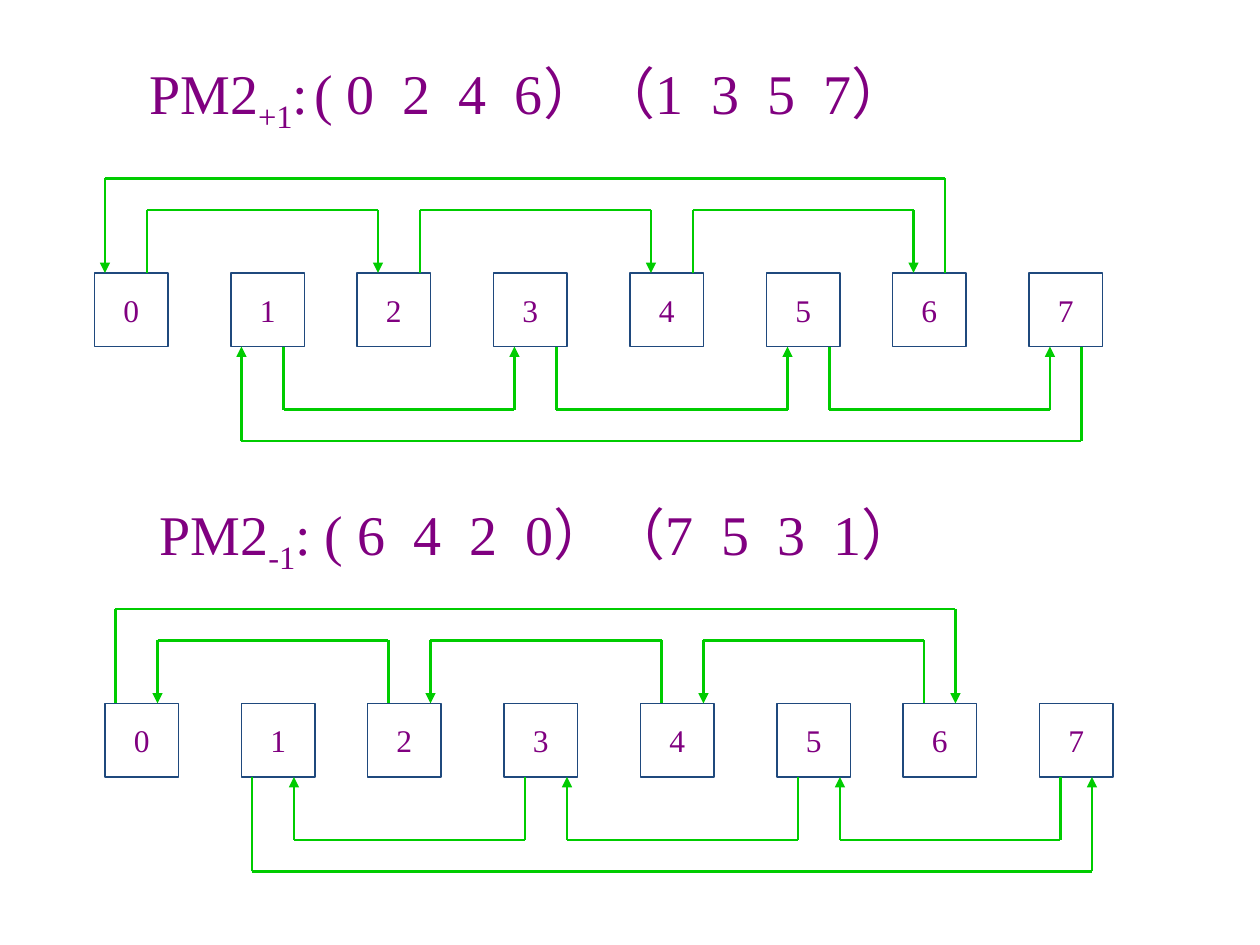
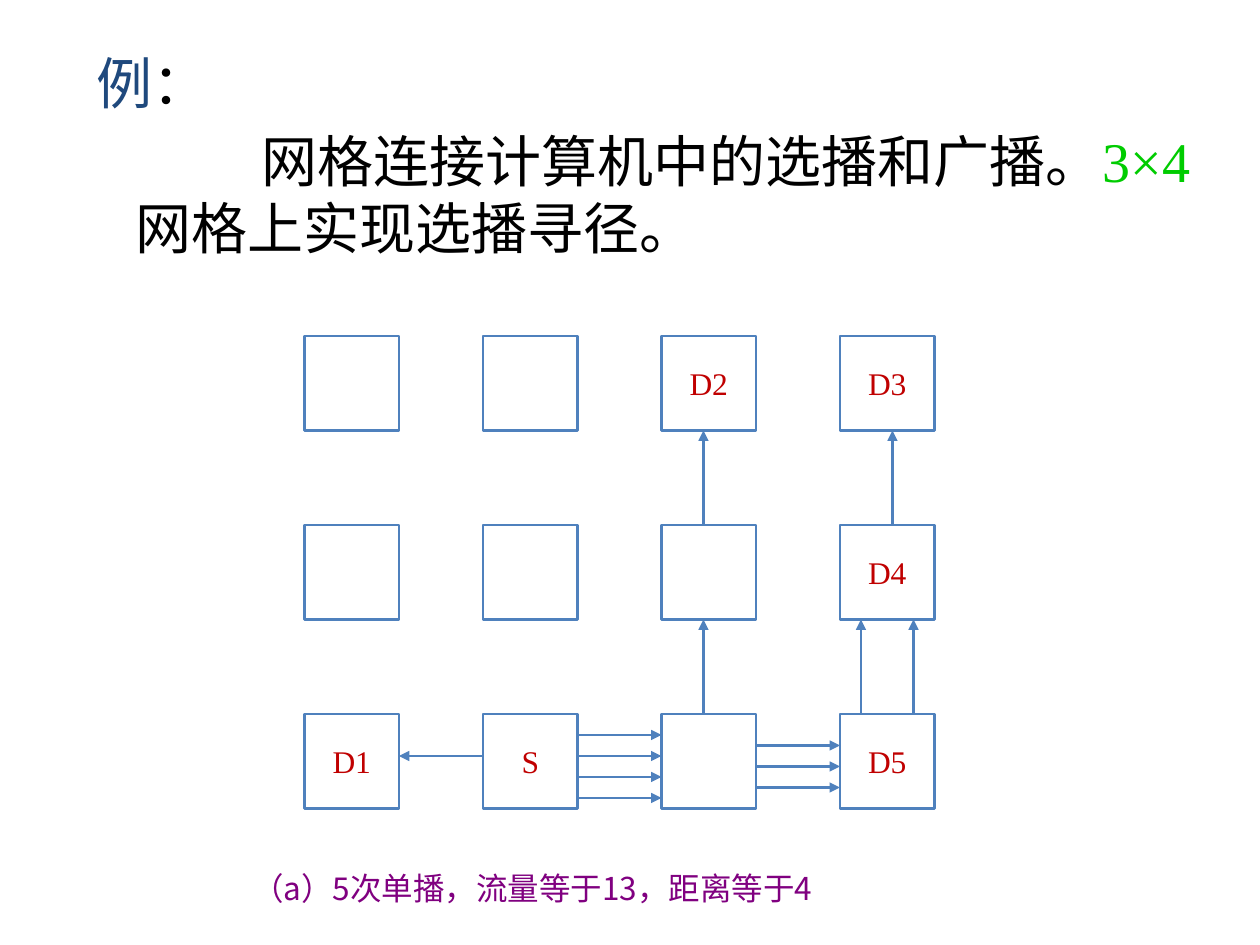
"""Build two slides on routing: PM2 permutation cycles and multicast on a grid."""
from pptx import Presentation
from pptx.dml.color import RGBColor
from pptx.enum.shapes import MSO_CONNECTOR, MSO_SHAPE
from pptx.enum.text import MSO_ANCHOR, MSO_AUTO_SIZE, PP_ALIGN
from pptx.oxml.ns import qn
from pptx.util import Inches, Pt
from lxml import etree

PURPLE = RGBColor(0x80, 0x00, 0x80)
NAVY = RGBColor(0x1F, 0x49, 0x7D)
BLUE = RGBColor(0x4F, 0x81, 0xBD)
GREEN = RGBColor(0x00, 0xCC, 0x00)
RED = RGBColor(0xC0, 0x00, 0x00)
BLACK = RGBColor(0x00, 0x00, 0x00)
WHITE = RGBColor(0xFF, 0xFF, 0xFF)

STRAIGHT = MSO_CONNECTOR.STRAIGHT
RECTANGLE = MSO_SHAPE.RECTANGLE
TOP, MIDDLE = MSO_ANCHOR.TOP, MSO_ANCHOR.MIDDLE
LEFT, CENTER = PP_ALIGN.LEFT, PP_ALIGN.CENTER
FIXED, GROW = MSO_AUTO_SIZE.NONE, MSO_AUTO_SIZE.SHAPE_TO_FIT_TEXT
TITLE_ONLY = 5
UNITS_PER_INCH = 12

HEADING_FONT = {"name": "Times New Roman", "size": Pt(32)}
LABEL_FONT = {"name": "Times New Roman", "size": Pt(18)}
CAPTION_FONT = {"name": "Noto Sans CJK SC", "size": Pt(18)}
HEADING_FRAME = {"word_wrap": True, "vertical_anchor": TOP, "auto_size": FIXED}
LABEL_FRAME = {"word_wrap": False, "vertical_anchor": MIDDLE}
CAPTION_FRAME = {"word_wrap": True, "auto_size": GROW, "margin_left": 0,
                 "margin_top": 0, "margin_right": 0, "margin_bottom": 0}
LEFT_MARGIN, HANGING, FIRST_LINE = Inches(0.81), Inches(-0.31), Inches(1)

PERMUTATIONS = [
    {"step": "+1", "cycles": [(0, 2, 4, 6), (1, 3, 5, 7)],
     "heading": (7, 5, 97, 8), "nodes": (9, 26)},
    {"step": "-1", "cycles": [(6, 4, 2, 0), (7, 5, 3, 1)],
     "heading": (8, 47, 97, 8), "nodes": (10, 67)},
]
NODE_OFFSETS = [0, 13, 25, 38, 51, 64, 76, 89]
NODE_SIZE = 7
STEP_DEPTH, RETURN_DEPTH = 6, 9
FIRST_EXIT, EXIT, ENTRY = 5, 6, 2
RETURN_PORTS = (1, 5)

EXAMPLE_AREA = (2, 4, 115, 22)
EXAMPLE = [
    (HANGING, [("例", NAVY), ("：", BLACK)]),
    (FIRST_LINE, [("网格连接计算机中的选播和广播。", BLACK), ("3×4", GREEN),
                  ("网格上实现选播寻径。", BLACK)]),
]
GRID = [["", "", "D2", "D3"],
        ["", "", "", "D4"],
        ["D1", "S", "", "D5"]]
GRID_LEFT, GRID_TOP, CELL = 29, 32, 9
COLUMN_STEP, ROW_STEP = 17, 18
HOPS = [
    ((2, 1), (2, 0), [4]),
    ((2, 1), (2, 2), [2, 4, 6, 8]),
    ((2, 2), (2, 3), [3, 5, 7]),
    ((2, 2), (1, 2), [4]),
    ((1, 2), (0, 2), [4]),
    ((2, 3), (1, 3), [2, 7]),
    ((1, 3), (0, 3), [5]),
]
CAPTION = "（a）5次单播，流量等于13，距离等于4"
CAPTION_AREA = (24, 82.8, 76, 4.8)


def lengths(*units):
    return [Inches(unit / UNITS_PER_INCH) for unit in units]


def apply(target, values):
    for name, value in values.items():
        setattr(target, name, value)


def add_run(paragraph, text, font, color, baseline=None):
    run = paragraph.add_run()
    run.text = text
    apply(run.font, font)
    run.font.color.rgb = color
    if baseline:
        run._r.get_or_add_rPr().set("baseline", str(baseline))


def add_text_area(slide, area):
    return slide.shapes.add_textbox(*lengths(*area))


def format_title(slide, area):
    title = slide.shapes.title
    apply(title, dict(zip(("left", "top", "width", "height"), lengths(*area))))
    return title


def indent(paragraph, first_line):
    paragraph.alignment = LEFT
    properties = paragraph._p.get_or_add_pPr()
    properties.set("marL", str(LEFT_MARGIN))
    properties.set("indent", str(first_line))


def add_box(slide, left, top, size, label, color, outline, weight, fill=None):
    box = slide.shapes.add_shape(RECTANGLE, *lengths(left, top, size, size))
    box.shadow.inherit = False
    if fill is None:
        box.fill.background()
    else:
        box.fill.solid()
        box.fill.fore_color.rgb = fill
    box.line.color.rgb = outline
    box.line.width = Pt(weight)
    if label:
        apply(box.text_frame, LABEL_FRAME)
        paragraph = box.text_frame.paragraphs[0]
        paragraph.alignment = CENTER
        add_run(paragraph, label, LABEL_FONT, color)


def add_line(slide, start, end, color, arrow=True):
    line = slide.shapes.add_connector(STRAIGHT, *lengths(*start, *end))
    line.line.color.rgb = color
    line.line.width = Pt(1.5)
    if arrow:
        etree.SubElement(line.line._get_or_add_ln(), qn("a:tailEnd"), type="triangle")
    etree.SubElement(line._element.spPr, qn("a:effectLst"))


def add_bracket(slide, left, right, edge, lane, arrow_on_right):
    add_line(slide, (left, lane), (right, lane), GREEN, False)
    add_line(slide, (left, lane), (left, edge), GREEN, not arrow_on_right)
    add_line(slide, (right, lane), (right, edge), GREEN, arrow_on_right)


def add_cycle(slide, cycle, node_lefts, edge, outward):
    ascending = cycle[0] < cycle[-1]
    nodes = sorted(cycle)
    for index, (near, far) in enumerate(zip(nodes, nodes[1:])):
        leave = EXIT if index else FIRST_EXIT
        add_bracket(slide, node_lefts[near] + leave, node_lefts[far] + ENTRY,
                    edge, edge + outward * STEP_DEPTH, ascending)
    first_port, last_port = RETURN_PORTS
    add_bracket(slide, node_lefts[nodes[0]] + first_port, node_lefts[nodes[-1]] + last_port,
                edge, edge + outward * RETURN_DEPTH, not ascending)


def add_permutation(slide, permutation, heading):
    apply(heading.text_frame, HEADING_FRAME)
    paragraph = heading.text_frame.paragraphs[0]
    indent(paragraph, HANGING)
    upper, lower = permutation["cycles"]
    even, odd = ("  ".join(map(str, cycle)) for cycle in (upper, lower))
    add_run(paragraph, "PM2", HEADING_FONT, PURPLE)
    add_run(paragraph, permutation["step"], HEADING_FONT, PURPLE, -25000)
    add_run(paragraph, f":\t( {even}）（{odd}）", HEADING_FONT, PURPLE)

    left, top = permutation["nodes"]
    node_lefts = [left + offset for offset in NODE_OFFSETS]
    for number, node_left in enumerate(node_lefts):
        add_box(slide, node_left, top, NODE_SIZE, str(number), PURPLE, NAVY, 0.75)
    add_cycle(slide, upper, node_lefts, top, -1)
    add_cycle(slide, lower, node_lefts, top + NODE_SIZE, 1)


def cell_corner(row, column):
    return GRID_LEFT + column * COLUMN_STEP, GRID_TOP + row * ROW_STEP


def add_hop(slide, source, target, offsets):
    (row, column), (next_row, next_column) = source, target
    x, y = cell_corner(row, column)
    next_x, next_y = cell_corner(next_row, next_column)
    for offset in offsets:
        if row == next_row:
            ends = (x + CELL, next_x) if next_column > column else (x, next_x + CELL)
            start, end = ((end_x, y + offset) for end_x in ends)
        else:
            start, end = (x + offset, y), (x + offset, next_y + CELL)
        add_line(slide, start, end, BLUE)


def build_permutation_slide(slide):
    first, second = PERMUTATIONS
    add_permutation(slide, first, format_title(slide, first["heading"]))
    add_permutation(slide, second, add_text_area(slide, second["heading"]))


def build_multicast_slide(slide):
    frame = format_title(slide, EXAMPLE_AREA).text_frame
    apply(frame, HEADING_FRAME)
    for index, (first_line, runs) in enumerate(EXAMPLE):
        paragraph = frame.add_paragraph() if index else frame.paragraphs[0]
        indent(paragraph, first_line)
        if index:
            paragraph.space_before = Pt(6.4)
        for text, color in runs:
            add_run(paragraph, text, HEADING_FONT, color)

    for row, labels in enumerate(GRID):
        for column, label in enumerate(labels):
            add_box(slide, *cell_corner(row, column), CELL, label, RED, BLUE, 1.5, WHITE)
    for hop in HOPS:
        add_hop(slide, *hop)

    caption = add_text_area(slide, CAPTION_AREA).text_frame
    apply(caption, CAPTION_FRAME)
    add_run(caption.paragraphs[0], CAPTION, CAPTION_FONT, PURPLE)


def main():
    deck = Presentation()
    deck.slide_width, deck.slide_height = Inches(10), Inches(7.5)
    for build in (build_permutation_slide, build_multicast_slide):
        build(deck.slides.add_slide(deck.slide_layouts[TITLE_ONLY]))
    deck.save("out.pptx")


if __name__ == "__main__":
    main()
